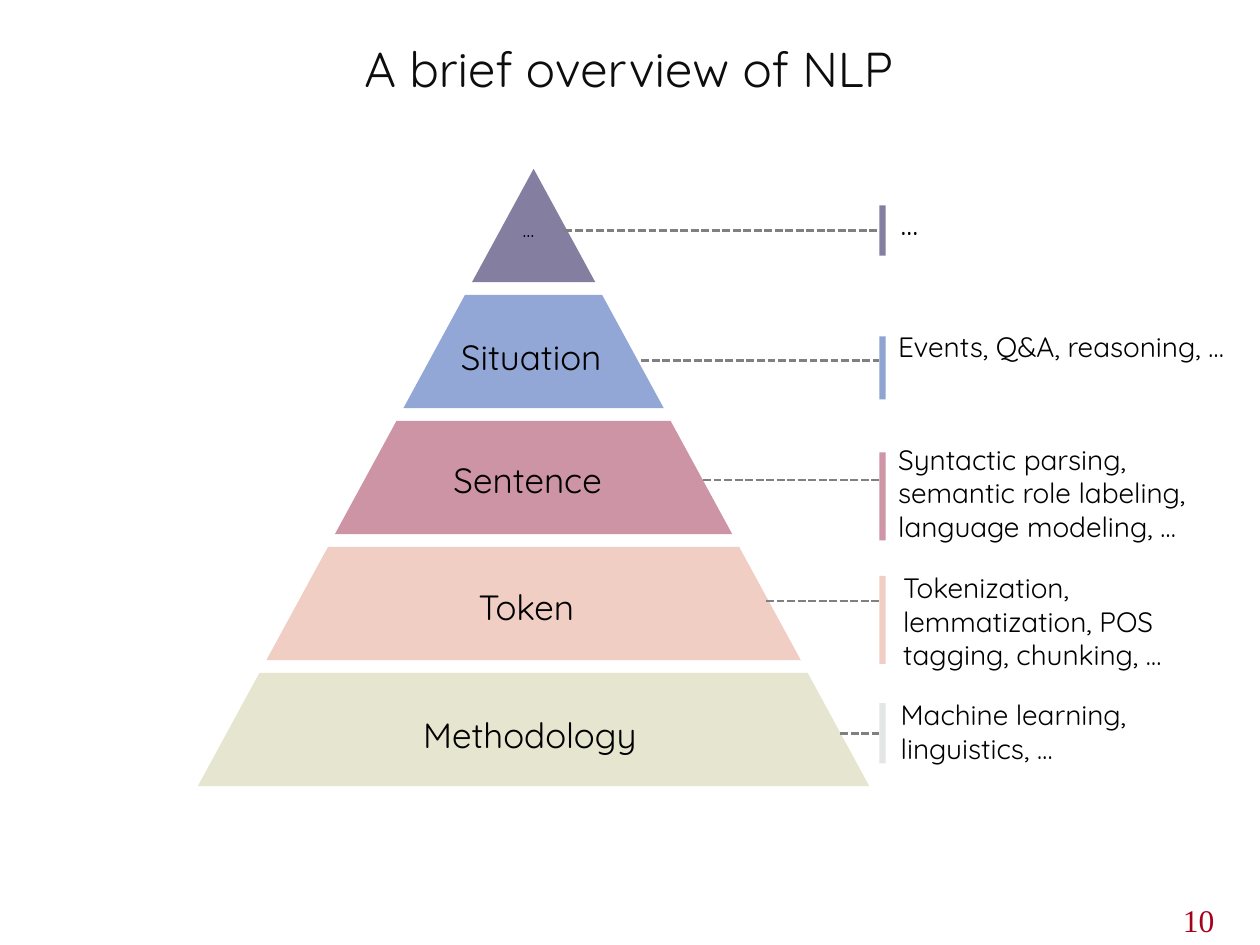
from dataclasses import dataclass
from typing import NamedTuple

from lxml.etree import SubElement
from pptx import Presentation
from pptx.dml.color import RGBColor
from pptx.enum.dml import MSO_LINE
from pptx.enum.shapes import MSO_CONNECTOR, MSO_SHAPE
from pptx.enum.text import MSO_ANCHOR, MSO_AUTO_SIZE, PP_ALIGN
from pptx.oxml.ns import qn
from pptx.util import Inches, Pt


@dataclass(frozen=True)
class Theme:
    font: str = "Quicksand"
    number_font: str = "Times New Roman"
    title: str = "0D0D0D"
    text: str = "000000"
    number: str = "A7001B"
    leader: str = "808080"
    title_size: int = 28
    tier_size: int = 20
    note_size: int = 16
    tip_size: int = 12
    number_size: int = 18


class Tier(NamedTuple):
    label: str
    label_box: tuple
    label_size: int
    color: str
    alpha: int
    note: str
    note_box: tuple
    note_size: int
    bar: tuple  # top, height, colour, opacity
    leader: tuple  # start x, y


T = Theme()
TIERS = [
    Tier("…", (4.05, 1.67, 0.48, 0.3), T.tip_size, "666089", 80,
         "…", (7.05, 1.57, 0.45, 0.4), T.number_size,
         (1.63, 0.4, "666089", 80), (4.48, 1.83)),
    Tier("Situation", (3.56, 2.61, 1.36, 0.44), T.tier_size, "7792CB", 80,
         "Events, Q&A, reasoning, …", (7.03, 2.57, 2.9, 0.64), T.note_size,
         (2.67, 0.5, "8FA4D0", 100), (5.09, 2.86)),
    Tier("Sentence", (3.5, 3.59, 1.51, 0.44), T.tier_size, "C17A90", 80,
         "Syntactic parsing, semantic role labeling, language modeling, …",
         (7.03, 3.46, 2.97, 0.91), T.note_size,
         (3.59, 0.7, "CD95A6", 100), (5.58, 3.81)),
    Tier("Token", (3.7, 4.6, 1, 0.44), T.tier_size, "F1CEC3", 100,
         "Tokenization, lemmatization, POS tagging, chunking, …",
         (7.07, 4.48, 2.95, 0.91), T.note_size,
         (4.57, 0.7, "F1CEC3", 100), (6.08, 4.77)),
    Tier("Methodology", (3.26, 5.61, 2.05, 0.44), T.tier_size, "E6E5CF", 100,
         "Machine learning, linguistics, …", (7.05, 5.49, 2.23, 0.64), T.note_size,
         (5.58, 0.48, "DDDFE0", 80), (6.67, 5.82)),
]
PYRAMID_BOX = (1.57, 1.34, 5.33, 4.9)
TIER_GAP = 0.1
BAR_X, BAR_W = 6.98, 0.05


def inches(box):
    return [Inches(v) for v in box]


def style(p, size, color, font=T.font):
    p.font.name = font
    p.font.size = Pt(size)
    p.font.color.rgb = RGBColor.from_string(color)


def paint(shape, color, alpha=100):
    shape.shadow.inherit = False
    shape.line.fill.background()
    shape.fill.solid()
    shape.fill.fore_color.rgb = RGBColor.from_string(color)
    if alpha < 100:
        clr = shape._element.spPr.find(qn("a:solidFill"))[0]
        SubElement(clr, qn("a:alpha"), val=str(alpha * 1000))


def add_text(s, box, text, size, color=T.text, font=T.font, wrap=True):
    tf = s.shapes.add_textbox(*inches(box)).text_frame
    tf.word_wrap = wrap
    tf.auto_size = MSO_AUTO_SIZE.SHAPE_TO_FIT_TEXT
    p = tf.paragraphs[0]
    p.text = text
    style(p, size, color, font)


def add_title(s, box, text):
    title = s.shapes.title
    title.left, title.top, title.width, title.height = inches(box)
    tf = title.text_frame
    tf.text = text
    tf.word_wrap = True
    tf.auto_size = MSO_AUTO_SIZE.NONE
    tf.vertical_anchor = MSO_ANCHOR.MIDDLE
    p = tf.paragraphs[0]
    p.alignment = PP_ALIGN.CENTER
    style(p, T.title_size, T.title)


def add_pyramid(s, box, tiers):
    """Slice one triangle into equal-height tiers."""
    x, y, w, h = box
    cx = x + w / 2
    tier_h = (h - TIER_GAP * (len(tiers) - 1)) / len(tiers)
    for i, tier in enumerate(tiers):
        top = i * (tier_h + TIER_GAP)
        bottom = top + tier_h
        half_top, half_bottom = (w / 2 * d / h for d in (top, bottom))
        points = [(cx + half_top, y + top), (cx + half_bottom, y + bottom),
                  (cx - half_bottom, y + bottom)]
        if i:
            points.append((cx - half_top, y + top))
        corners = [tuple(inches(pt)) for pt in points]
        fb = s.shapes.build_freeform(*corners[0])
        fb.add_line_segments(corners[1:], close=True)
        paint(fb.convert_to_shape(), tier.color, tier.alpha)
    for tier in tiers:
        add_text(s, tier.label_box, tier.label, tier.label_size,
                 wrap=tier.label_size == T.tip_size)


def add_note(s, tier):
    """Place the note, its colour bar and the dashed leader."""
    add_text(s, tier.note_box, tier.note, tier.note_size,
             wrap=tier.note_size == T.note_size)
    top, height, color, alpha = tier.bar
    bar = s.shapes.add_shape(MSO_SHAPE.RECTANGLE, *inches((BAR_X, top, BAR_W, height)))
    paint(bar, color, alpha)
    x, y = tier.leader
    line = s.shapes.add_connector(MSO_CONNECTOR.STRAIGHT, *inches((x, y, BAR_X, y)))
    line.line.color.rgb = RGBColor.from_string(T.leader)
    line.line.width = Pt(1.5)
    line.line.dash_style = MSO_LINE.SQUARE_DOT
    SubElement(line._element.spPr, qn("a:effectLst"))


def main():
    prs = Presentation()
    prs.slide_width, prs.slide_height = Inches(10), Inches(7.5)
    s = prs.slides.add_slide(prs.slide_layouts[5])

    add_title(s, (0.74, 0.25, 8.5, 0.58), "A brief overview of NLP")
    add_pyramid(s, PYRAMID_BOX, TIERS)
    for tier in TIERS:
        add_note(s, tier)
    # Page number
    add_text(s, (9.29, 7.1, 0.49, 0.4), "10", T.number_size, T.number,
             T.number_font, wrap=False)
    prs.save("out.pptx")


if __name__ == "__main__":
    main()
